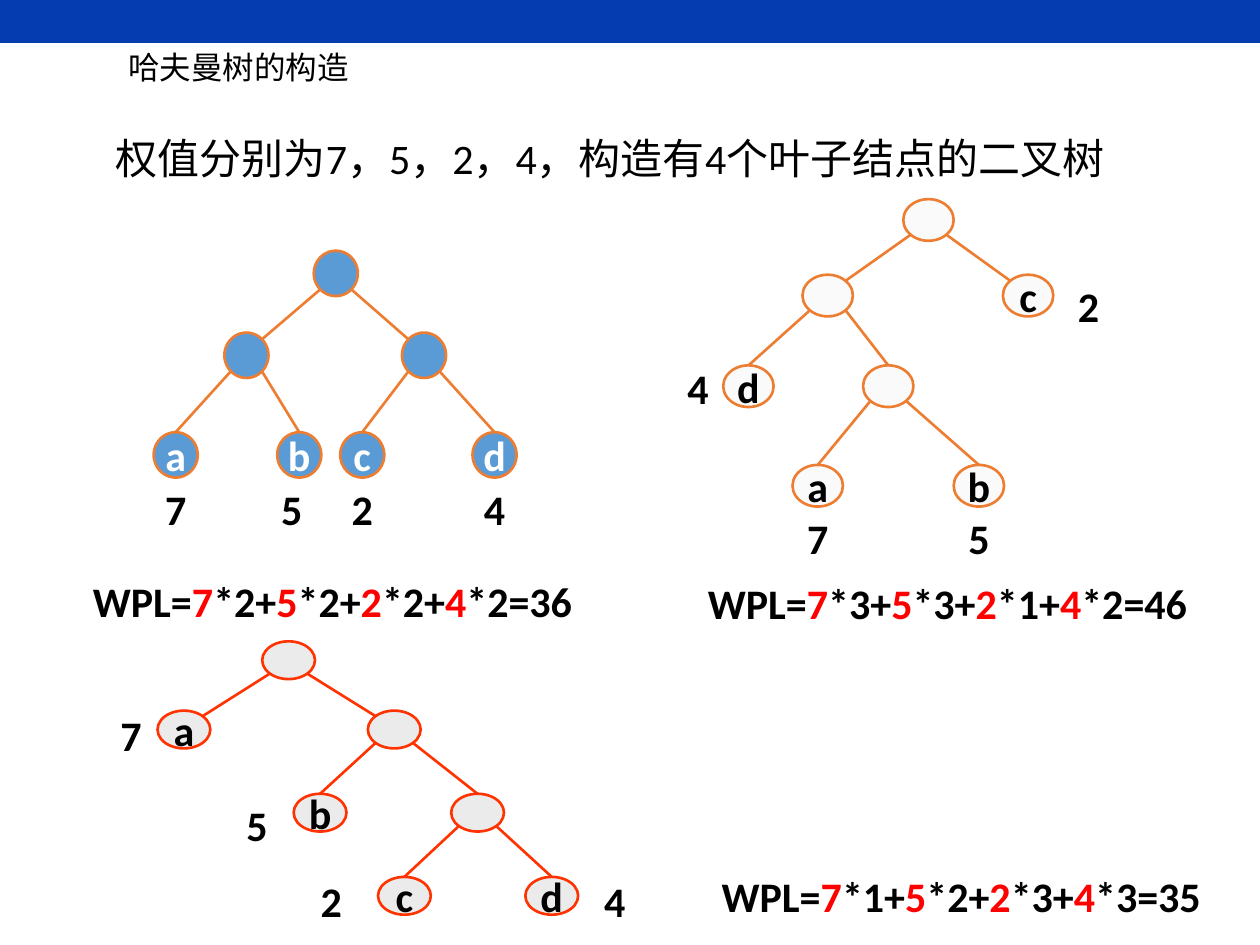
from dataclasses import dataclass
from math import sqrt
from typing import NamedTuple

from lxml.etree import SubElement
from pptx import Presentation
from pptx.dml.color import RGBColor
from pptx.enum.shapes import MSO_CONNECTOR as Link, MSO_SHAPE as Kind
from pptx.enum.text import MSO_ANCHOR as Anchor, MSO_AUTO_SIZE as Fit, PP_ALIGN as Align
from pptx.oxml.ns import qn
from pptx.shapes.shapetree import GroupShapes
from pptx.slide import Slide
from pptx.text.text import Font
from pptx.util import Pt

NAVY = RGBColor(0x05, 0x3C, 0xAF)
BLUE = RGBColor(0x5B, 0x9B, 0xD5)
ORANGE = RGBColor(0xED, 0x7D, 0x31)
FLAME = RGBColor(0xFF, 0x33, 0x00)
PALE = RGBColor(0xFA, 0xFA, 0xFA)
GREY = RGBColor(0xEB, 0xEB, 0xEB)
RED = RGBColor(0xFF, 0x00, 0x00)
BLACK = RGBColor(0x00, 0x00, 0x00)
WHITE = RGBColor(0xFF, 0xFF, 0xFF)

FACE = "Calibri"
COST = {"a": 7, "b": 5, "c": 2, "d": 4}
SLANT = sqrt(2) / 4


class Node(NamedTuple):
    x: float
    y: float
    up: int = -1
    key: str = ""


class Spot(NamedTuple):
    x: float
    y: float


@dataclass
class Tree:
    wide: float
    high: float
    fill: RGBColor
    edge: RGBColor
    ink: RGBColor
    nodes: list[Node]
    tags: dict[str, Spot]
    sum_at: Spot


TREES = [
    Tree(28.8, 23.8, PALE, ORANGE, BLACK,
         [Node(516.2, 113.8), Node(458.6, 157, 0), Node(573.1, 157, 0, "c"),
          Node(413.3, 208.8, 1, "d"), Node(493.2, 208.8, 1),
          Node(452.9, 265.7, 4, "a"), Node(545, 265.7, 4, "b")],
         {"a": Spot(452.9, 289.4), "b": Spot(545, 289.4),
          "c": Spot(607.7, 157), "d": Spot(384.5, 203.8)},
         Spot(387.4, 326.2)),
    Tree(30.2, 21.6, GREY, FLAME, BLACK,
         [Node(149.8, 366.5), Node(90, 406.1, 0, "a"), Node(210.2, 406.1, 0),
          Node(167.8, 453.6, 2, "b"), Node(257.8, 453.6, 2),
          Node(216, 501.1, 4, "c"), Node(300.2, 501.1, 4, "d")],
         {"a": Spot(59.8, 401.8), "b": Spot(131.8, 453.6),
          "c": Spot(174.2, 496.8), "d": Spot(336.2, 496.8)},
         Spot(395.3, 493.9)),
    Tree(25.2, 25.9, BLUE, ORANGE, WHITE,
         [Node(179.3, 143.3), Node(128.2, 190.1, 0), Node(229.7, 190.1, 0),
          Node(87.8, 247, 1, "a"), Node(158.4, 247, 1, "b"),
          Node(194.4, 247, 2, "c"), Node(270, 247, 2, "d")],
         {"a": Spot(87.8, 272.9), "b": Spot(154.1, 272.9),
          "c": Spot(194.4, 272.9), "d": Spot(270, 272.9)},
         Spot(36, 325.4)),
]


def style(font: Font, size: float, ink: RGBColor, bold: bool = True) -> None:
    font.name = FACE
    font.size = Pt(size)
    font.bold = bold
    font.color.rgb = ink


def draw_node(shapes: GroupShapes, tree: Tree, node: Node) -> None:
    oval = shapes.add_shape(Kind.OVAL, Pt(node.x), Pt(node.y), Pt(tree.wide), Pt(tree.high))
    oval.shadow.inherit = False
    oval.fill.solid()
    oval.fill.fore_color.rgb = tree.fill
    oval.line.color.rgb = tree.edge
    oval.line.width = Pt(1.5)
    if node.key:
        frame = oval.text_frame
        frame.text = node.key
        frame.word_wrap = False
        frame.vertical_anchor = Anchor.MIDDLE
        para = frame.paragraphs[0]
        para.alignment = Align.CENTER
        style(para.runs[0].font, 24, tree.ink)


def draw_edge(shapes: GroupShapes, tree: Tree, node: Node) -> None:
    top = tree.nodes[node.up]
    side = 1 if node.x > top.x else -1
    dx, dy = side * SLANT * tree.wide, SLANT * tree.high
    x1 = top.x + tree.wide / 2 + dx
    y1 = top.y + tree.high / 2 + dy
    x2, y2 = node.x + tree.wide / 2, node.y
    if node.up == 0:
        x2 -= dx
        y2 += tree.high / 2 - dy
    line = shapes.add_connector(Link.STRAIGHT, Pt(x1), Pt(y1), Pt(x2), Pt(y2))
    line.line.color.rgb = tree.edge
    line.line.width = Pt(1.5)
    SubElement(line.element.spPr, qn("a:effectLst"))


def draw_tag(shapes: GroupShapes, tree: Tree, key: str, spot: Spot) -> None:
    box = shapes.add_textbox(Pt(spot.x), Pt(spot.y), Pt(tree.wide), Pt(36.5))
    frame = box.text_frame
    frame.text = str(COST[key])
    frame.word_wrap = True
    frame.margin_left = frame.margin_right = 0
    para = frame.paragraphs[0]
    para.alignment = Align.CENTER
    style(para.runs[0].font, 24, BLACK)


def depth(tree: Tree, node: Node) -> int:
    return 0 if node.up < 0 else 1 + depth(tree, tree.nodes[node.up])


def draw_sum(slide: Slide, tree: Tree) -> None:
    deep = {n.key: depth(tree, n) for n in tree.nodes if n.key}
    total = sum(COST[key] * deep[key] for key in COST)
    parts = [("WPL=", BLACK)]
    for key, cost in COST.items():
        tail = f"={total}" if key == "d" else "+"
        parts += [(str(cost), RED), (f"*{deep[key]}{tail}", BLACK)]
    box = slide.shapes.add_textbox(Pt(tree.sum_at.x), Pt(tree.sum_at.y), Pt(308), Pt(36))
    box.text_frame.word_wrap = True
    para = box.text_frame.paragraphs[0]
    para.alignment = Align.CENTER
    for text, ink in parts:
        run = para.add_run()
        run.text = text
        style(run.font, 24, ink)


def draw_tree(slide: Slide, tree: Tree) -> None:
    shapes = slide.shapes.add_group_shape().shapes
    for node in tree.nodes:
        draw_node(shapes, tree, node)
        if node.up >= 0:
            draw_edge(shapes, tree, node)
    for key, spot in tree.tags.items():
        draw_tag(shapes, tree, key, spot)
    draw_sum(slide, tree)


def fill_holder(slide: Slide, slot: int, text: str, area: tuple, size: float) -> None:
    box = slide.placeholders[slot]
    box.left, box.top, box.width, box.height = map(Pt, area)
    frame = box.text_frame
    frame.text = text
    frame.word_wrap = True
    frame.auto_size = Fit.NONE
    frame.vertical_anchor = Anchor.MIDDLE
    para = frame.paragraphs[0]
    props = para._p.get_or_add_pPr()
    props.set("marL", "0")
    props.set("indent", "0")
    SubElement(props, qn("a:buNone"))
    para.alignment = Align.LEFT
    para.space_before = Pt(0)
    style(para.runs[0].font, size, BLACK, False)


def main() -> None:
    deck = Presentation()
    deck.slide_width, deck.slide_height = Pt(720), Pt(540)
    slide = deck.slides.add_slide(deck.slide_layouts[1])
    band = slide.shapes.add_shape(Kind.RECTANGLE, 0, 0, Pt(720), Pt(24.5))
    band.shadow.inherit = False
    band.fill.solid()
    band.fill.fore_color.rgb = NAVY
    band.line.fill.background()
    fill_holder(slide, 0, "哈夫曼树的构造", (66.2, 18, 263.5, 41), 18)
    fill_holder(slide, 1, "权值分别为7，5，2，4，构造有4个叶子结点的二叉树",
                (59, 69.8, 641.5, 40.3), 24)
    for tree in TREES:
        draw_tree(slide, tree)
    deck.save("out.pptx")


if __name__ == "__main__":
    main()
